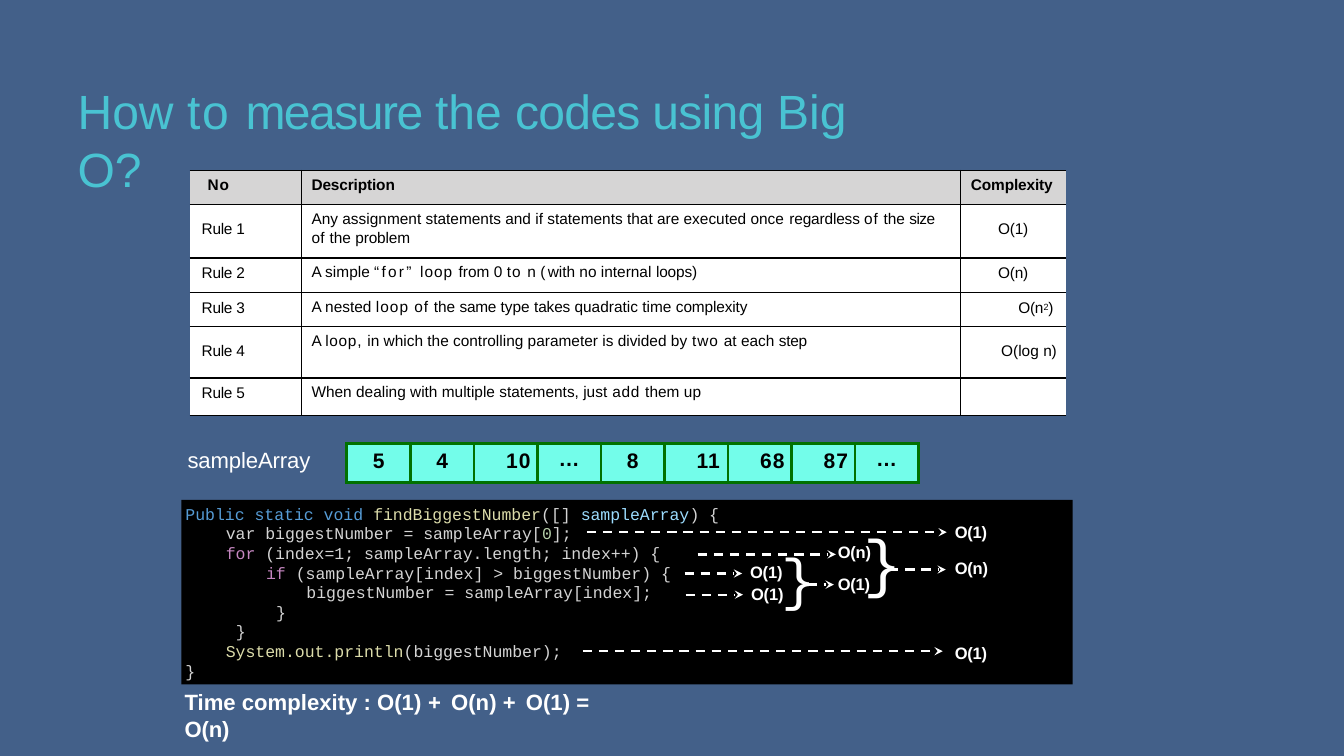
from dataclasses import dataclass, replace

from pptx import Presentation
from pptx.dml.color import RGBColor
from pptx.enum.dml import MSO_LINE
from pptx.enum.shapes import MSO_CONNECTOR, MSO_SHAPE
from pptx.enum.text import PP_ALIGN
from pptx.oxml.ns import qn
from pptx.util import Inches, Pt
from lxml import etree

LEFT, CENTER = PP_ALIGN.LEFT, PP_ALIGN.CENTER
STRAIGHT, RECTANGLE, DASH = MSO_CONNECTOR.STRAIGHT, MSO_SHAPE.RECTANGLE, MSO_LINE.DASH


@dataclass(frozen=True)
class Style:
    size: float
    color: str
    font: str = "Arial"
    bold: bool = False
    spacing: float = 0
    raised: int = 0


@dataclass(frozen=True)
class Theme:
    background: str = "436089"
    header: str = "D6D5D5"
    white: str = "FFFFFF"
    black: str = "000000"
    array: str = "73FDEA"
    array_border: str = "017100"
    title: Style = Style(34.3, "49C3D2")
    body: Style = Style(11, "000000")
    heading: Style = Style(11, "000000", bold=True)
    array_name: Style = Style(15.8, "FFFFFF", spacing=-0.1)
    array_value: Style = Style(15, "000000", bold=True)
    total: Style = Style(15.8, "FFFFFF", bold=True)
    cost: Style = Style(11.8, "FFFFFF", bold=True, spacing=-0.1)
    code: Style = Style(11.8, "D4D4D4", "Courier New")
    keyword: str = "569CD6"
    function: str = "DCDCAA"
    variable: str = "9CDCFE"
    number: str = "B5CEA8"
    control: str = "C586C0"


THEME = Theme()

RULES = [
    ("Rule 1", [("Any assignment statements and if statements that are executed once ", 0),
                ("regardless ", -0.1), ("of ", 0.5), ("the ", 0), ("size ", -0.4),
                ("of ", 0.2), ("the ", 0), ("problem", -0.1)], [("O(1)", -0.2)]),
    ("Rule 2", [("A simple ", 0), ("“for” ", 1.6), ("loop ", 0.7), ("from 0 ", 0), ("to ", 0.8),
                ("n ", 0), ("( ", -1.4), ("with no internal ", 0), ("loops)", -0.1)], [("O(n)", -0.2)]),
    ("Rule 3", [("A nested ", 0), ("loop ", 0.7), ("of ", 0.5), ("the ", 0), ("same ", -0.2),
                ("type ", 0), ("takes ", -0.1), ("quadratic time ", 0), ("complexity", -0.1)],
     [("O(n", -0.2), ("2", -0.2), (")", -0.2)]),
    ("Rule 4", [("A ", 0), ("loop, ", 0.5), ("in which the controlling parameter is divided by ", 0),
                ("two ", 0.6), ("at each ", 0), ("step", -0.2)], [("O(log ", 0), ("n)", -0.2)]),
    ("Rule 5", [("When dealing with multiple statements, just ", 0), ("add ", 0.5),
                ("them ", 0), ("up", 0.2)], []),
]
RULE_HEIGHTS = [0.34, 0.53, 0.34, 0.34, 0.51, 0.34]
COMPLEXITY_INDENTS = {"Rule 3": 0.57, "Rule 4": 0.4}

CODE = [
    (0, [("Public static void ", THEME.keyword), ("findBiggestNumber", THEME.function),
         ("([] ", None), ("sampleArray", THEME.variable), (") {", None)]),
    (0.4, [("var biggestNumber = sampleArray[", None), ("0", THEME.number), ("];", None)]),
    (0.4, [("for ", THEME.control), ("(index=1; sampleArray.length; index++) {", None)]),
    (0.8, [("if ", THEME.control), ("(sampleArray[index] > biggestNumber) {", None)]),
    (1.2, [("biggestNumber = sampleArray[index];", None)]),
    (0.9, [("}", None)]),
    (0.5, [("}", None)]),
    (0.4, [("System.out.println", THEME.function), ("(biggestNumber);", None)]),
    (0, [("}", None)]),
]
ARROWS = [(4.02, 7.59, 0.32), (5.12, 6.49, 0.54), (4.99, 5.56, 0.73), (5, 5.57, 0.94),
          (6.21, 6.47, 0.84), (7.02, 7.58, 0.69), (3.98, 7.55, 1.5)]
COSTS = [("O(1)", 7.67, 0.21), ("O(n)", 6.51, 0.41), ("O(1)", 5.64, 0.61), ("O(1)", 5.65, 0.82),
         ("O(1)", 6.51, 0.72), ("O(n)", 7.67, 0.57), ("O(1)", 7.67, 1.41)]
BRACES = [(5.95, 0.41, 40.9), (6.76, 0.2, 45.8)]


def rgb(color):
    return RGBColor.from_string(color)


def spaced(style, pairs):
    return [(text, replace(style, spacing=spacing)) for text, spacing in pairs]


def write(paragraph, runs, indent=0):
    for text, style in runs:
        run = paragraph.add_run()
        run.text = text
        run.font.size, run.font.name, run.font.bold = Pt(style.size), style.font, style.bold
        run.font.color.rgb = rgb(style.color)
        properties = run.font._element
        properties.set("spc", str(round(style.spacing * 100)))
        if style.raised:
            properties.set("baseline", str(style.raised * 1000))
    if indent:
        paragraph._p.get_or_add_pPr().set("marL", str(Inches(indent)))


def add_text(slide, box, runs):
    frame = slide.shapes.add_textbox(*map(Inches, box)).text_frame
    frame.word_wrap = True
    frame.margin_left = frame.margin_right = frame.margin_bottom = 0
    frame.margin_top = Inches(0.01)
    write(frame.paragraphs[0], runs)
    return frame


def add_grid(slide, box, widths, heights):
    table = slide.shapes.add_table(len(heights), len(widths), *map(Inches, box)).table
    for column, width in zip(table.columns, widths):
        column.width = Inches(width)
    for row, height in zip(table.rows, heights):
        row.height = Inches(height)
    return table


def fill_cell(cell, runs, fill, border, weight, sides, top, indent=0, align=LEFT):
    cell.margin_left = cell.margin_right = cell.margin_bottom = 0
    cell.margin_top = Inches(top)
    properties = cell._tc.get_or_add_tcPr()
    for side in "LRTB":
        line = etree.SubElement(properties, qn(f"a:ln{side}"), w=str(Pt(weight)))
        if side in sides:
            solid = etree.SubElement(line, qn("a:solidFill"))
            etree.SubElement(solid, qn("a:srgbClr"), val=border)
        else:
            etree.SubElement(line, qn("a:noFill"))
    cell.fill.solid()
    cell.fill.fore_color.rgb = rgb(fill)
    paragraph = cell.text_frame.paragraphs[0]
    paragraph.alignment = align
    write(paragraph, runs, indent)


def rules_table(slide, box):
    table = add_grid(slide, box, [1.11, 6.54, 1.04], RULE_HEIGHTS)
    column_sides = ["RTB", "LRTB", "LTB"]
    headings = [("No", 0.5, 0.18), ("Description", -0.1, 0.1), ("Complexity", -0.1, 0.1)]
    for column, (name, spacing, indent) in enumerate(headings):
        fill_cell(table.cell(0, column), spaced(THEME.heading, [(name, spacing)]), THEME.header,
                  THEME.black, 1, column_sides[column], 0.06, indent)
    for row, (rule, description, complexity) in enumerate(RULES, 1):
        label_top = 0.16 if RULE_HEIGHTS[row] > 0.5 else 0.07
        indent = COMPLEXITY_INDENTS.get(rule, 0)
        complexity_runs = [(text, replace(style, raised=21 if text == "2" else 0))
                           for text, style in spaced(THEME.body, complexity)]
        contents = [
            (spaced(THEME.body, [(rule, -0.2)]), label_top, 0.12, LEFT),
            (spaced(THEME.body, description), 0.03 if row == 1 else 0.06, 0.1, LEFT),
            (complexity_runs, label_top, indent, LEFT if indent else CENTER),
        ]
        for column, (runs, top, inset, align) in enumerate(contents):
            fill_cell(table.cell(row, column), runs, THEME.white, THEME.black, 1,
                      column_sides[column], top, inset, align)
    wrapped = table.cell(1, 1)
    wrapped.margin_right = Inches(0.2)
    wrapped.text_frame.paragraphs[0].line_spacing = 1.15


def sample_array(slide, box):
    left, top, width, height = box
    add_text(slide, (left, top + 0.02, 1.25, 0.28), [("sampleArray", THEME.array_name)])
    values = ["5", "4", "10", "…", "8", "11", "68", "87", "…"]
    cells_width = width - 1.58
    table = add_grid(slide, (left + 1.58, top, cells_width, height),
                     [cells_width / len(values)] * len(values), [height])
    for column, value in enumerate(values):
        wide = len(value) > 1
        fill_cell(table.cell(0, column), spaced(THEME.array_value, [(value, 0.7 if wide else 0)]),
                  THEME.array, THEME.array_border, 2.25, "LRTB", 0.04 if value == "…" else 0.06,
                  0.32 if wide else 0, LEFT if wide else CENTER)


def add_arrow(slide, start, tip, y):
    arrow = slide.shapes.add_connector(STRAIGHT, Inches(start), Inches(y), Inches(tip), Inches(y))
    arrow.line.color.rgb = rgb(THEME.white)
    arrow.line.width = Pt(1.65)
    arrow.line.dash_style = DASH
    etree.SubElement(arrow.line._get_or_add_ln(), qn("a:tailEnd"), type="stealth")
    etree.SubElement(arrow._element.spPr, qn("a:effectLst"))


def code_panel(slide, box):
    left, top, width, height = box
    panel = slide.shapes.add_shape(RECTANGLE, *map(Inches, box))
    panel.shadow.inherit = False
    panel.fill.solid()
    panel.fill.fore_color.rgb = rgb(THEME.black)
    panel.line.fill.background()
    frame = add_text(slide, (left + 0.04, top + 0.03, 5.43, height - 0.06), [])
    for number, (indent, parts) in enumerate(CODE):
        paragraph = frame.add_paragraph() if number else frame.paragraphs[0]
        paragraph.line_spacing = Pt(14)
        write(paragraph, [(text, replace(THEME.code, color=color or THEME.code.color))
                          for text, color in parts], indent)
    for start, tip, y in ARROWS:
        add_arrow(slide, left + start, left + tip, top + y)
    for cost, x, y in COSTS:
        add_text(slide, (left + x, top + y, 0.4, 0.21), [(cost, THEME.cost)])
    for x, y, size in BRACES:
        add_text(slide, (left + x, top + y, 0.4, 0.75),
                 [("}", replace(THEME.code, size=size, color=THEME.white))])


def main():
    deck = Presentation()
    deck.slide_width, deck.slide_height = Inches(13.33), Inches(7.5)
    slide = deck.slides.add_slide(deck.slide_layouts[6])
    slide.background.fill.solid()
    slide.background.fill.fore_color.rgb = rgb(THEME.background)
    add_text(slide, (0.77, 0.8, 8.26, 1.12), spaced(THEME.title, [
        ("How ", 0), ("to ", 1.2), ("measure ", -1.1), ("the ", 0),
        ("codes using ", -0.5), ("Big ", 0), ("O?", -0.1)]))
    rules_table(slide, (1.88, 1.69, 8.69, 2.4))
    sample_array(slide, (1.86, 4.4, 7.25, 0.39))
    code_panel(slide, (1.8, 4.96, 8.84, 1.83))
    add_text(slide, (1.83, 6.82, 4.55, 0.28), spaced(THEME.total, [
        ("Time complexity : O(1) ", 0), ("+ ", 1.4), ("O(n) ", 0), ("+ ", 1.4),
        ("O(1) ", 0), ("= ", 1.4), ("O(n)", -0.1)]))
    deck.save("out.pptx")


if __name__ == "__main__":
    main()
